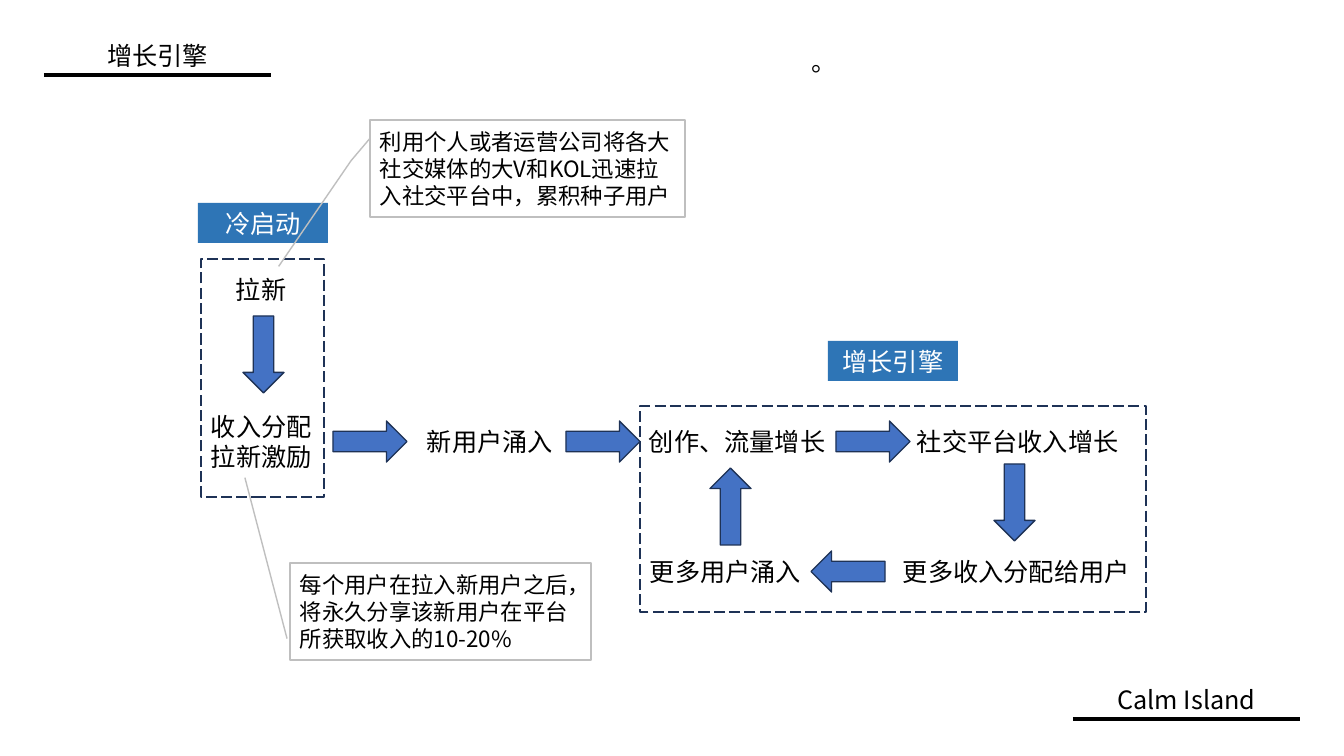
from lxml import etree
from pptx import Presentation
from pptx.dml.color import RGBColor
from pptx.enum.dml import MSO_LINE
from pptx.enum.shapes import MSO_CONNECTOR, MSO_SHAPE
from pptx.enum.text import MSO_ANCHOR, MSO_AUTO_SIZE, PP_ALIGN
from pptx.oxml.ns import qn
from pptx.util import Emu, Pt

SCALE = 914400 / 100.8
FONT = "Noto Sans CJK SC"
LEFT, CENTER = PP_ALIGN.LEFT, PP_ALIGN.CENTER
TOP, MIDDLE = MSO_ANCHOR.TOP, MSO_ANCHOR.MIDDLE
GROW, FIXED = MSO_AUTO_SIZE.SHAPE_TO_FIT_TEXT, MSO_AUTO_SIZE.NONE
RECT, ARROW = MSO_SHAPE.RECTANGLE, MSO_SHAPE.RIGHT_ARROW
CALLOUT, BENT_CALLOUT = MSO_SHAPE.LINE_CALLOUT_1, MSO_SHAPE.LINE_CALLOUT_2
STRAIGHT, LONG_DASH = MSO_CONNECTOR.STRAIGHT, MSO_LINE.LONG_DASH
COLORS = {
    "text": "000000",
    "white": "FFFFFF",
    "arrow": "4472C4",
    "outline": "1E3256",
    "label": "2E75B6",
    "callout": "BFBFBF",
}
LINE_H = 40
ARROW_H = 41
FLOW_Y = 421
RETURN_Y = 551


def px(n):
    return Emu(round(n * SCALE))


def color(name):
    return RGBColor.from_string(COLORS[name])


def write(sp, text, size=18, ink="text", align=LEFT, anchor=TOP, fit=GROW):
    tf = sp.text_frame
    tf.word_wrap = True
    tf.auto_size = fit
    tf.vertical_anchor = anchor
    p = tf.paragraphs[0]
    p.alignment = align
    r = p.add_run()
    r.text = text
    r.font.size = Pt(size)
    r.font.name = FONT
    r.font.color.rgb = color(ink)
    etree.SubElement(r.font._element, qn("a:ea"), typeface=FONT)


def add_text(s, x, y, w, text, h=LINE_H, **fmt):
    write(s.shapes.add_textbox(px(x), px(y), px(w), px(h)), text, **fmt)


def add_box(s, kind, x, y, w, h, fill=None, line=None):
    sp = s.shapes.add_shape(kind, px(x), px(y), px(w), px(h))
    sp.shadow.inherit = False
    if fill:
        sp.fill.solid()
        sp.fill.fore_color.rgb = color(fill)
    else:
        sp.fill.background()
    if line:
        sp.line.color.rgb = color(line)
        sp.line.width = Pt(1)
    else:
        sp.line.fill.background()
    return sp


def add_arrow(s, x, y, w=74, turn=0):
    sp = add_box(s, ARROW, x, y, w, ARROW_H, "arrow", "outline")
    sp.rotation = turn


def add_frame(s, x, y, w, h):
    add_box(s, RECT, x, y, w, h, line="outline").line.dash_style = LONG_DASH


def add_label(s, x, y, text):
    sp = add_box(s, RECT, x, y, 130, LINE_H, fill="label")
    write(sp, text, ink="white", align=CENTER)


def add_callout(s, kind, x, y, w, text, leader):
    sp = add_box(s, kind, x, y, w, 97, line="callout")
    for i, value in enumerate(leader):
        sp.adjustments[i] = value
    write(sp, text, size=16, anchor=MIDDLE, fit=FIXED)


def add_heading(s, x, y, text):
    w = 227
    add_text(s, x, y, w, text, align=CENTER)
    base = px(y + LINE_H)
    line = s.shapes.add_connector(STRAIGHT, px(x), base, px(x + w), base)
    line.line.color.rgb = color("text")
    line.line.width = Pt(2.25)
    etree.SubElement(line._element.spPr, qn("a:effectLst"))


def main():
    prs = Presentation()
    prs.slide_width, prs.slide_height = px(1344), px(756)
    s = prs.slides.add_slide(prs.slide_layouts[6])

    add_heading(s, 1073, 679, "Calm Island")
    add_heading(s, 44, 35, "增长引擎")

    add_text(s, 226, 269, 74, "拉新")
    add_text(s, 201, 406, 123, "收入分配拉新激励", h=72)
    for x, y, w, text in [
        (417, FLOW_Y, 150, "新用户涌入"),
        (639, FLOW_Y, 198, "创作、流量增长"),
        (907, FLOW_Y, 225, "社交平台收入增长"),
        (893, RETURN_Y, 253, "更多收入分配给用户"),
        (640, RETURN_Y, 180, "更多用户涌入"),
    ]:
        add_text(s, x, y, w, text)

    for x in (333, 566, 836):
        add_arrow(s, x, FLOW_Y)
    add_arrow(s, 811, RETURN_Y, turn=180)
    for x, y, turn in [(225, 334, 90), (976, 482, 90), (692, 486, 270)]:
        add_arrow(s, x, y, w=77, turn=turn)

    add_frame(s, 640, 406, 506, 206)
    add_label(s, 828, 341, "增长引擎")
    add_frame(s, 201, 259, 123, 238)
    add_label(s, 198, 203, "冷启动")

    add_text(s, 802, 41, 311, "。")
    add_callout(s, BENT_CALLOUT, 370, 120, 315,
                "利用个人或者运营公司将各大社交媒体的大V和KOL迅速拉入社交平台中，累积种子用户",
                (0.19, 0, 0.42, -0.06, 1.51, -0.29))
    add_callout(s, CALLOUT, 290, 563, 301,
                "每个用户在拉入新用户之后，将永久分享该新用户在平台所获取收入的10-20%",
                (0.78, -0.01, -0.88, -0.15))

    prs.save("out.pptx")


main()
